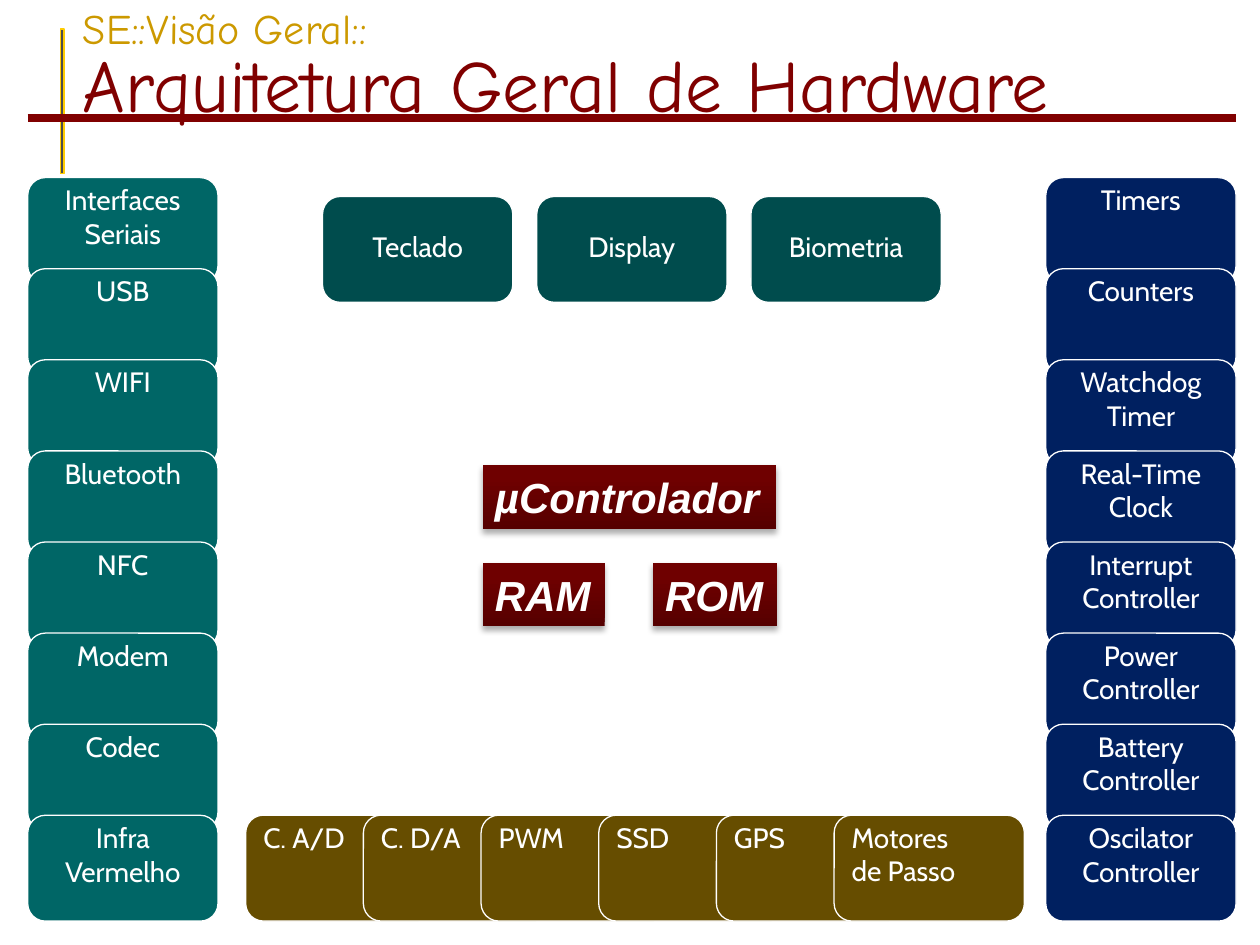
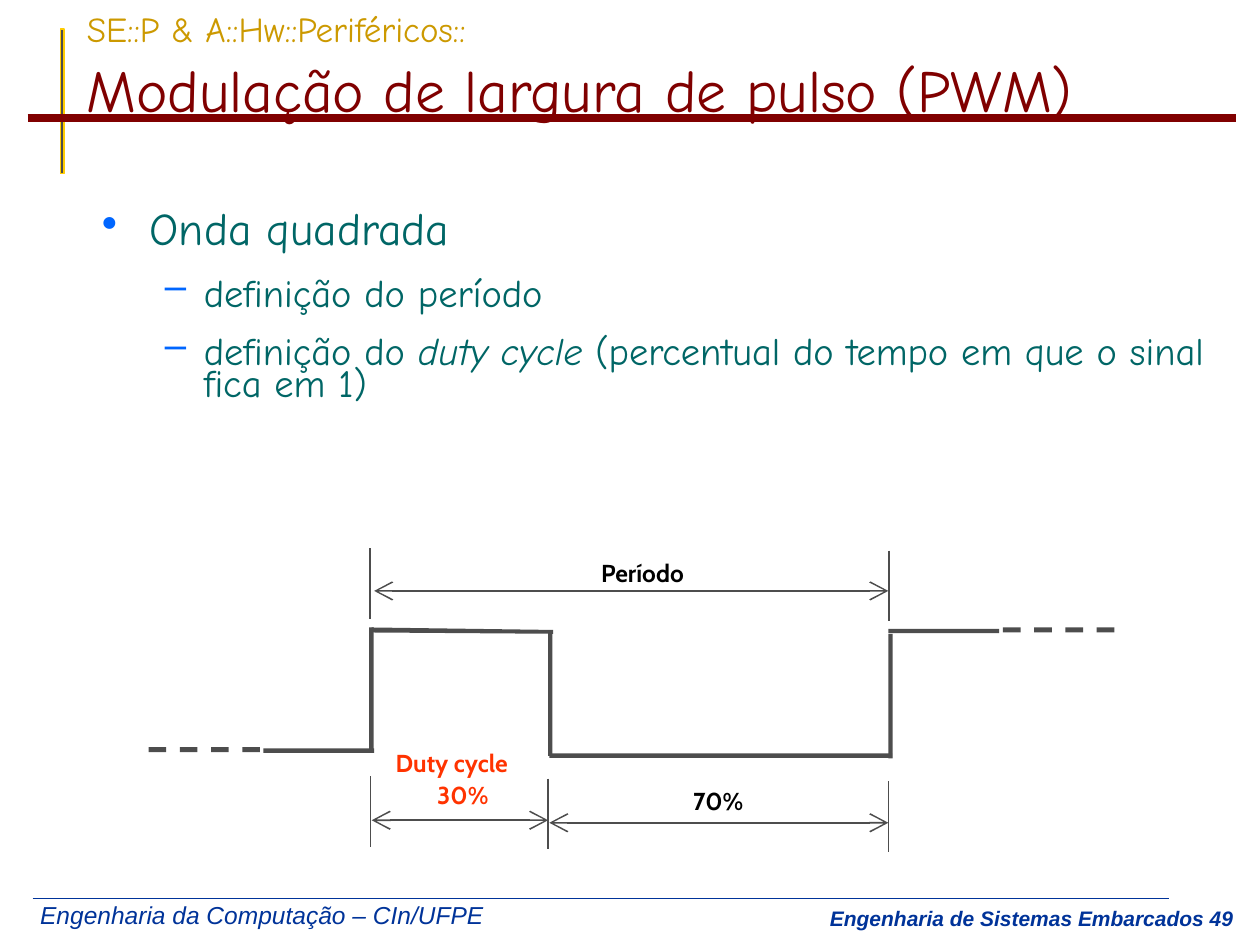
from dataclasses import dataclass

from lxml import etree
from pptx import Presentation
from pptx import util as u
from pptx.dml.color import RGBColor
from pptx.enum import shapes, text
from pptx.oxml import ns

COLS, ROWS = 100, 75
LEFT, CENTER, RIGHT = text.PP_ALIGN.LEFT, text.PP_ALIGN.CENTER, text.PP_ALIGN.RIGHT
TOP, MIDDLE = text.MSO_ANCHOR.TOP, text.MSO_ANCHOR.MIDDLE
RECT = shapes.MSO_SHAPE.RECTANGLE
ROUND = shapes.MSO_SHAPE.ROUNDED_RECTANGLE


@dataclass(frozen=True)
class Theme:
    title_font: str = "Comic Neue"
    label_font: str = "Cabin"
    plain_font: str = "Arial"
    white: str = "FFFFFF"
    black: str = "000000"
    maroon: str = "800000"
    gold: str = "CC9900"
    yellow: str = "FFCC00"
    gray: str = "4D4D4D"
    navy: str = "003399"
    bullet: str = "0066FF"
    teal: str = "006666"
    dark_teal: str = "004C4D"
    brown: str = "664D00"
    dark_blue: str = "002060"
    orange: str = "FF3300"
    core_dark: str = "560000"
    core_light: str = "6F0000"
    core_size: int = 24
    block_size: int = 16
    label_size: int = 14
    page_size: int = 12
    topic_size: int = 26
    detail_size: int = 22
    thin: float = 0.75
    dimension: float = 0.88
    rule: float = 4.5


def write(p, content, font, size, color, bold=False, italic=False):
    for i, part in enumerate(content.split("\v")):
        if i:
            p.add_line_break()
        if part:
            r = p.add_run()
            r.text = part
            r.font.name = font
            r.font.size = u.Pt(size)
            r.font.color.rgb = RGBColor.from_string(color)
            r.font.bold = bold
            r.font.italic = italic


def add_xml(parent, tag, **attrs):
    return etree.SubElement(parent, ns.qn(tag), attrs)


class Deck:
    def __init__(self, theme):
        self.t = theme
        self.prs = Presentation()
        self.prs.slide_width = u.Inches(10)
        self.prs.slide_height = u.Inches(7.5)
        self.s = None

    def x(self, cols):
        return round(self.prs.slide_width * cols / COLS)

    def y(self, rows):
        return round(self.prs.slide_height * rows / ROWS)

    def place(self, left, top, width, height):
        return self.x(left), self.y(top), self.x(width), self.y(height)

    def new_slide(self, path, title, sizes, at, spacing):
        t = self.t
        self.s = self.prs.slides.add_slide(self.prs.slide_layouts[6])
        self.shape((4.8, 2.3, 0.3, 11.5), t.gray, line=t.yellow)
        self.line((2.2, 9.4), (98.1, 9.4), t.maroon, t.rule)
        tf = self.frame(at, wrap=True, anchor=MIDDLE)
        p = tf.paragraphs[0]
        p.line_spacing = spacing
        write(p, path + "\v", t.title_font, sizes[0], t.gold)
        write(p, title, t.title_font, sizes[1], t.maroon)

    def footer(self, page):
        t = self.t
        self.label("Engenharia da Computação – CIn/UFPE", (2.2, 70.9, 38.5, 3.3),
                   t.plain_font, t.label_size, t.navy, italic=True, margins=(0.1, 0.05))
        self.label(f"Engenharia de Sistemas Embarcados {page}", (60.9, 71.4, 38, 3),
                   t.plain_font, t.page_size, t.navy, bold=True, italic=True,
                   margins=(0.1, 0.05), align=RIGHT, wrap=True)
        self.line((2.6, 71.3), (92.8, 71.3), t.navy, 1)

    def frame(self, at, wrap=False, anchor=TOP, margins=(0.1, 0.05)):
        tf = self.s.shapes.add_textbox(*self.place(*at)).text_frame
        tf.word_wrap = wrap
        tf.vertical_anchor = anchor
        tf.margin_left = tf.margin_right = u.Inches(margins[0])
        tf.margin_top = tf.margin_bottom = u.Inches(margins[1])
        return tf

    def label(self, content, at, font, size, color, align=LEFT, wrap=False,
              margins=(0, 0), **fmt):
        p = self.frame(at, wrap, margins=margins).paragraphs[0]
        p.alignment = align
        write(p, content, font, size, color, **fmt)

    def shape(self, at, fill, line=None, kind=RECT):
        sp = self.s.shapes.add_shape(kind, *self.place(*at))
        sp.shadow.inherit = False
        if fill:
            sp.fill.solid()
            sp.fill.fore_color.rgb = RGBColor.from_string(fill)
        if line:
            sp.line.color.rgb = RGBColor.from_string(line)
            sp.line.width = u.Pt(self.t.thin)
        else:
            sp.line.fill.background()
        return sp

    def block(self, content, left, top, fill, align=CENTER, anchor=TOP):
        t = self.t
        sp = self.shape((left, top, 15.1, 8.4), fill, t.white, ROUND)
        tf = sp.text_frame
        tf.word_wrap = True
        tf.vertical_anchor = anchor
        tf.margin_top = 0
        for i, part in enumerate(content.split("\n")):
            p = tf.add_paragraph() if i else tf.paragraphs[0]
            p.alignment = align
            write(p, part, t.label_font, t.block_size, t.white)

    def core(self, content, at):
        t = self.t
        sp = self.shape(at, None)
        sp.fill.gradient()
        sp.fill.gradient_angle = 90
        for stop, color, position in zip(sp.fill.gradient_stops,
                                         (t.core_dark, t.core_light), (0, 0.8)):
            stop.color.rgb = RGBColor.from_string(color)
            stop.position = position
        effects = sp._element.spPr.find(ns.qn("a:effectLst"))
        shadow = add_xml(effects, "a:outerShdw", blurRad=str(u.Pt(3.5)),
                         dist=str(u.Pt(2.2)), dir="5400000", rotWithShape="0")
        add_xml(add_xml(shadow, "a:srgbClr", val=t.black), "a:alpha", val="32000")
        tf = sp.text_frame
        tf.word_wrap = False
        tf.vertical_anchor = TOP
        p = tf.paragraphs[0]
        p.alignment = LEFT
        write(p, content, t.plain_font, t.core_size, t.white, bold=True, italic=True)

    def line(self, start, end, color, width, arrows=False):
        c = self.s.shapes.add_connector(shapes.MSO_CONNECTOR.STRAIGHT, self.x(start[0]),
                                        self.y(start[1]), self.x(end[0]), self.y(end[1]))
        c.line.color.rgb = RGBColor.from_string(color)
        c.line.width = u.Pt(width)
        if arrows:
            for tag in ("a:headEnd", "a:tailEnd"):
                add_xml(c.line._get_or_add_ln(), tag, type="arrow", w="lg", len="lg")
        add_xml(c._element.spPr, "a:effectLst")

    def bullets(self, at, items):
        t = self.t
        tf = self.frame(at, wrap=True)
        styles = (("•", 0.38, -0.38, 0.9, t.topic_size),
                  ("–", 0.81, -0.31, 0.7, t.detail_size))
        for i, (level, runs) in enumerate(items):
            mark, margin, indent, spacing, size = styles[level]
            p = tf.add_paragraph() if i else tf.paragraphs[0]
            p.level = level
            pPr = p._p.get_or_add_pPr()
            pPr.set("marL", str(u.Inches(margin)))
            pPr.set("indent", str(u.Inches(indent)))
            add_xml(add_xml(pPr, "a:buClr"), "a:srgbClr", val=t.bullet)
            add_xml(pPr, "a:buChar", char=mark)
            p.line_spacing = spacing
            p.space_before = u.Pt(8.8 if i else 0)
            p.space_after = u.Pt(6)
            for content, italic in runs:
                write(p, content, t.title_font, size, t.teal, italic=italic)


def hardware_slide(d):
    t = d.t
    d.new_slide("SE::Visão Geral::", "Arquitetura Geral de Hardware", (24, 42),
                (5.6, -0.8, 94.4, 12.5), 0.85)
    for i, name in enumerate(("Teclado", "Display", "Biometria")):
        d.block(name, 25.6 + 17 * i, 15.6, t.dark_teal, anchor=MIDDLE)
    converters = ("C. A/D", "C. D/A", "PWM", "SSD", "GPS", "Motores\vde Passo")
    for i, name in enumerate(converters):
        d.block(name, 19.5 + 9.34 * i, 64.7, t.brown, align=LEFT)
    interfaces = ("Interfaces Seriais", "USB", "WIFI", "Bluetooth", "NFC", "Modem",
                  "Codec", "Infra Vermelho")
    controllers = ("Timers", "Counters", "Watchdog\nTimer", "Real-Time Clock",
                   "Interrupt Controller", "Power\nController", "Battery\nController",
                   "Oscilator\nController")
    for left, fill, names in ((83, t.dark_blue, controllers), (2.2, t.teal, interfaces)):
        for i, name in enumerate(names):
            d.block(name, left, 14.1 + 7.23 * i, fill)
    d.core("µControlador", (38.3, 36.9, 23.3, 5.1))
    d.core("RAM", (38.3, 44.7, 9.7, 5))
    d.core("ROM", (51.8, 44.7, 9.9, 5))


def pwm_slide(d):
    t = d.t
    d.new_slide("SE::P & A::Hw::Periféricos::", "Modulação de largura de pulso (PWM)",
                (20, 34), (5.9, -0.9, 91.2, 12.1), 1.05)
    d.footer(49)
    d.bullets((7.1, 15.9, 92, 6.7), (
        (0, (("Onda quadrada", False),)),
        (1, (("definição do período", False),)),
        (1, (("definição do ", False), ("duty cycle", True),
             (" (percentual do tempo em que o sinal fica em 1)", False))),
    ))
    high = d.s.shapes.build_freeform(d.x(29.5), d.y(49.8))
    high.add_line_segments([(d.x(c), d.y(r)) for c, r in
                            ((29.5, 50.2), (43.9, 50.3), (43.9, 50))])
    sp = high.convert_to_shape()
    sp.shadow.inherit = False
    sp.fill.solid()
    sp.fill.fore_color.rgb = RGBColor.from_string(t.gray)
    sp.line.fill.background()
    for left, top, width in ((43.6, 59.8, 27.2), (20.9, 59.4, 8.8), (70.5, 49.9, 8.8)):
        d.shape((left, top, width, 0.35), t.gray)
    for left, top in ((29.3, 49.8), (43.5, 50.1), (70.5, 50.3)):
        d.shape((left, top, 0.35, 9.9), t.gray)
    for first, top in ((11.8, 59.3), (79.6, 49.8)):
        for i in range(4):
            d.shape((first + 2.48 * i, top, 1.4, 0.4), t.gray)
    for left, right, row in ((29.7, 70.5, 46.9), (29.5, 43.5, 65.1), (43.6, 70.5, 65.3)):
        d.line((left, row), (right, row), t.gray, t.dimension, arrows=True)
    for col, top in ((29.35, 43.5), (70.55, 43.7), (29.4, 61.6), (43.5, 61.8), (70.5, 62)):
        d.line((col, top), (col, top + 5.6), t.gray, t.dimension)
    for name, left, top, width, color in (
            ("Período", 47.7, 44.3, 7.5, t.black), ("30%", 34.7, 61.9, 4.8, t.orange),
            ("70%", 55, 62.4, 4.8, t.black), ("Duty cycle", 31.4, 59.4, 10.1, t.orange)):
        d.label(name, (left, top, width, 2.3), t.label_font, t.label_size, color, bold=True)


def main():
    d = Deck(Theme())
    hardware_slide(d)
    pwm_slide(d)
    d.prs.save("out.pptx")


if __name__ == "__main__":
    main()
